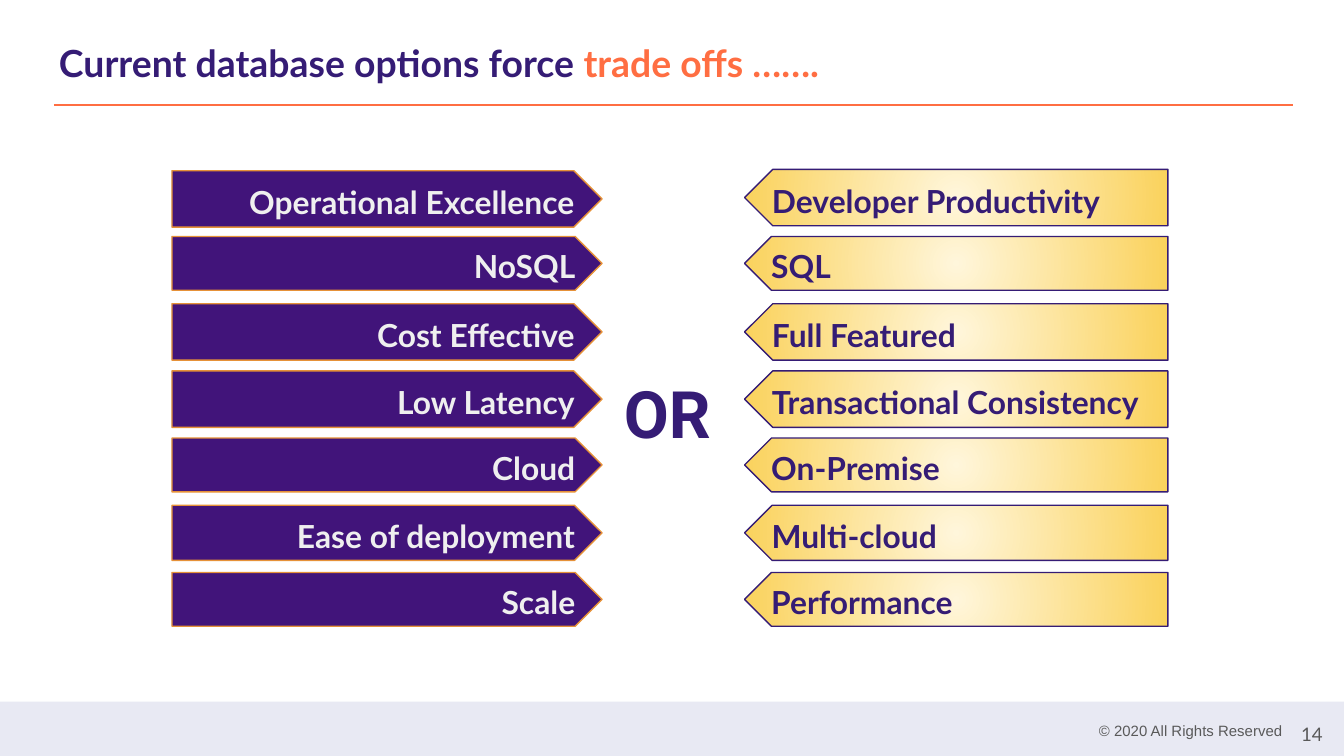
from pptx import Presentation
from pptx.dml.color import RGBColor
from pptx.enum.shapes import MSO_CONNECTOR, MSO_SHAPE
from pptx.enum.text import MSO_ANCHOR, PP_ALIGN
from pptx.oxml import parse_xml
from pptx.oxml.ns import nsdecls, qn
from pptx.util import Pt

PX = 9144  # 100 px to the inch
LEFT, MID, RIGHT = PP_ALIGN.LEFT, PP_ALIGN.CENTER, PP_ALIGN.RIGHT
TOP, MIDDLE = MSO_ANCHOR.TOP, MSO_ANCHOR.MIDDLE
RECT, ARROW = MSO_SHAPE.RECTANGLE, MSO_SHAPE.PENTAGON
STRAIGHT = MSO_CONNECTOR.STRAIGHT

COLORS = {
    "band": "E8E9F3", "gray": "595959", "purple": "41147A", "navy": "351C75",
    "orange": "FF6E42", "amber": "E69138", "pale": "EFEFEF",
    "cream": "FFF6DB", "gold": "FAD25C",
}
RGB = {name: RGBColor.from_string(code) for name, code in COLORS.items()}

# left option, right option, arrow height
ROWS = [
    ("Operational Excellence", "Developer Productivity", 42),
    ("NoSQL", "SQL", 40),
    ("Cost Effective", "Full Featured", 42),
    ("Low Latency", "Transactional Consistency", 42),
    ("Cloud", "On-Premise", 40),
    ("Ease of deployment", "Multi-cloud", 41),
    ("Scale", "Performance", 40),
]
FIRST, PITCH = 126, 50


def write(shape, parts, size, font, align, bold=False, anchor=MIDDLE, space=1.0):
    """Fill a shape with one paragraph made of (text, color) parts."""
    frame = shape.text_frame
    frame.word_wrap = True
    frame.vertical_anchor = anchor
    frame.margin_left = frame.margin_right = 10 * PX
    frame.margin_top = frame.margin_bottom = 10 * PX
    para = frame.paragraphs[0]
    para.alignment = align
    para.line_spacing = space
    for text, color in parts:
        run = para.add_run()
        run.text = text
        run.font.size = Pt(size)
        run.font.name = font
        run.font.bold = bold
        run.font.color.rgb = RGB[color]


def add_arrow(x, y, w, h, edge):
    arrow = shapes.add_shape(ARROW, x * PX, y * PX, w * PX, h * PX)
    arrow.adjustments[0] = 0.5
    arrow.shadow.inherit = False
    arrow.line.color.rgb = RGB[edge]
    arrow.line.width = Pt(0.75)
    return arrow


prs = Presentation()
prs.slide_width = 1000 * PX
prs.slide_height = prs.slide_width * 9 // 16
slide = prs.slides.add_slide(prs.slide_layouts[6])
shapes = slide.shapes

# Footer band
band = shapes.add_shape(RECT, 0, 522 * PX, 1001 * PX, 43 * PX)
band.shadow.inherit = False
band.fill.solid()
band.fill.fore_color.rgb = RGB["band"]
band.line.fill.background()

# Title, footer and centre word
title = shapes.add_textbox(34 * PX, 20 * PX, 932 * PX, 63 * PX)
write(title, [("Current database options force ", "navy"), ("trade offs …….", "orange")],
      20, "Lato", LEFT, bold=True, anchor=TOP)
rights = shapes.add_textbox(807 * PX, 522 * PX, 158 * PX, 43 * PX)
write(rights, [("© 2020 All Rights Reserved", "gray")], 8, "Arial", MID)
number = shapes.add_textbox(956 * PX, 532 * PX, 38 * PX, 29 * PX)
write(number, [("14", "gray")], 10, "Lato", RIGHT)
choice = shapes.add_textbox(421 * PX, 243 * PX, 151 * PX, 119 * PX)
write(choice, [("OR", "navy")], 35, "Roboto", MID, bold=True, space=1.15)

# Rule under the title
rule = shapes.add_connector(STRAIGHT, 40 * PX, 78 * PX, 962 * PX, 78 * PX)
rule.line.color.rgb = RGB["orange"]
rule.line.width = Pt(0.75)
rule._element.spPr.append(parse_xml(f"<a:effectLst {nsdecls('a')}/>"))

# Facing arrows
for i, (left, right, high) in enumerate(ROWS):
    y = FIRST + i * PITCH

    # The first left arrow sits one px lower than its partner
    arrow = add_arrow(128, y + (i == 0), 320, high, "amber")
    arrow.fill.solid()
    arrow.fill.fore_color.rgb = RGB["purple"]
    write(arrow, [(left, "pale")], 17, "Lato", RIGHT, bold=True, space=1.15)

    arrow = add_arrow(554, y, 315, high, "navy")
    props = arrow._element.spPr
    props.find(qn("a:xfrm")).set("flipH", "1")
    arrow.fill.gradient()
    for stop, place, color in zip(arrow.fill.gradient_stops, (0, 1), ("cream", "gold")):
        stop.position = place
        stop.color.rgb = RGB[color]
    grad = props.find(qn("a:gradFill"))
    grad.replace(grad.find(qn("a:lin")), parse_xml(
        f'<a:path {nsdecls("a")} path="circle">'
        '<a:fillToRect l="50000" t="50000" r="50000" b="50000"/></a:path>'))
    write(arrow, [(right, "navy")], 17, "Lato", LEFT, bold=True, space=1.15)

prs.save("out.pptx")
